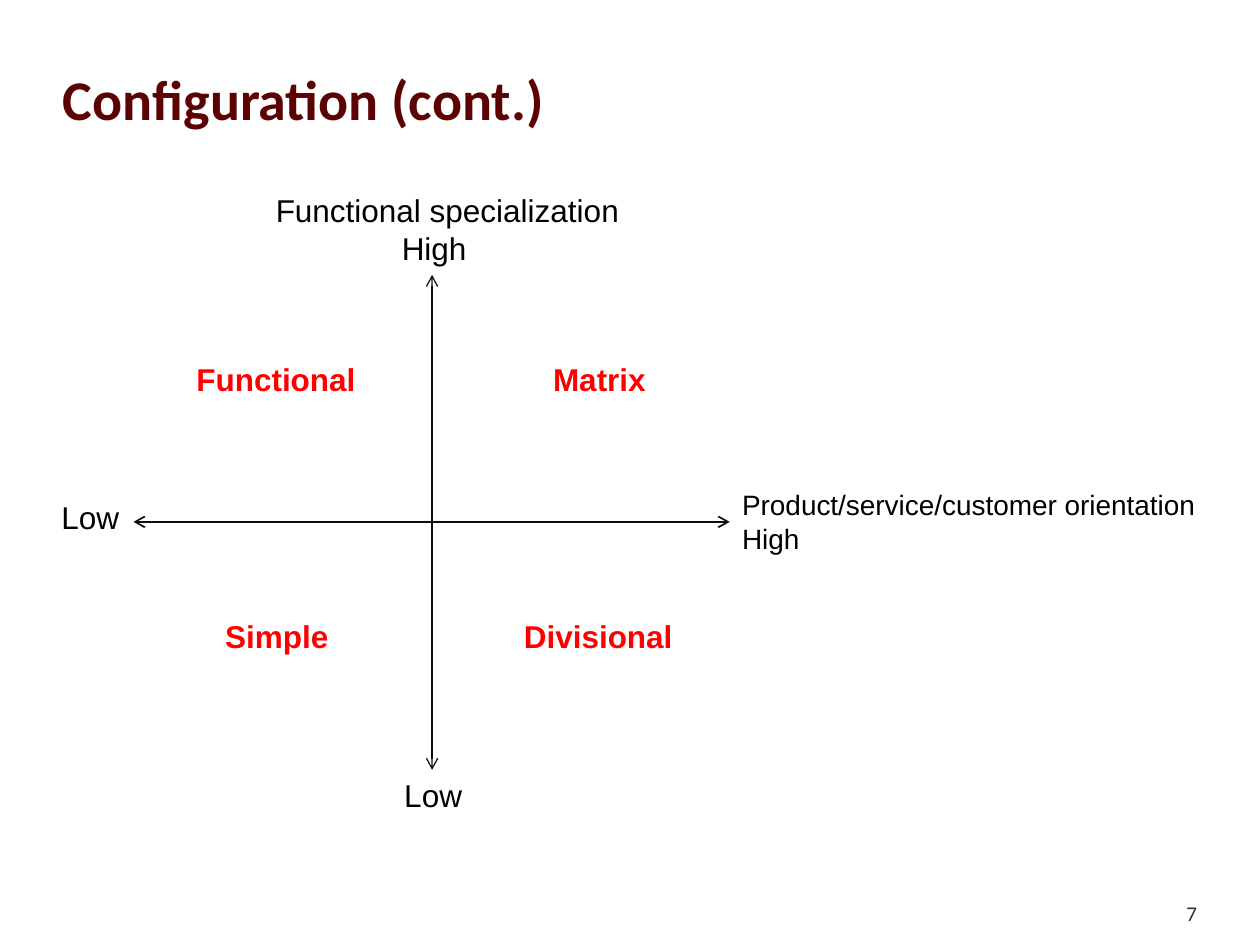
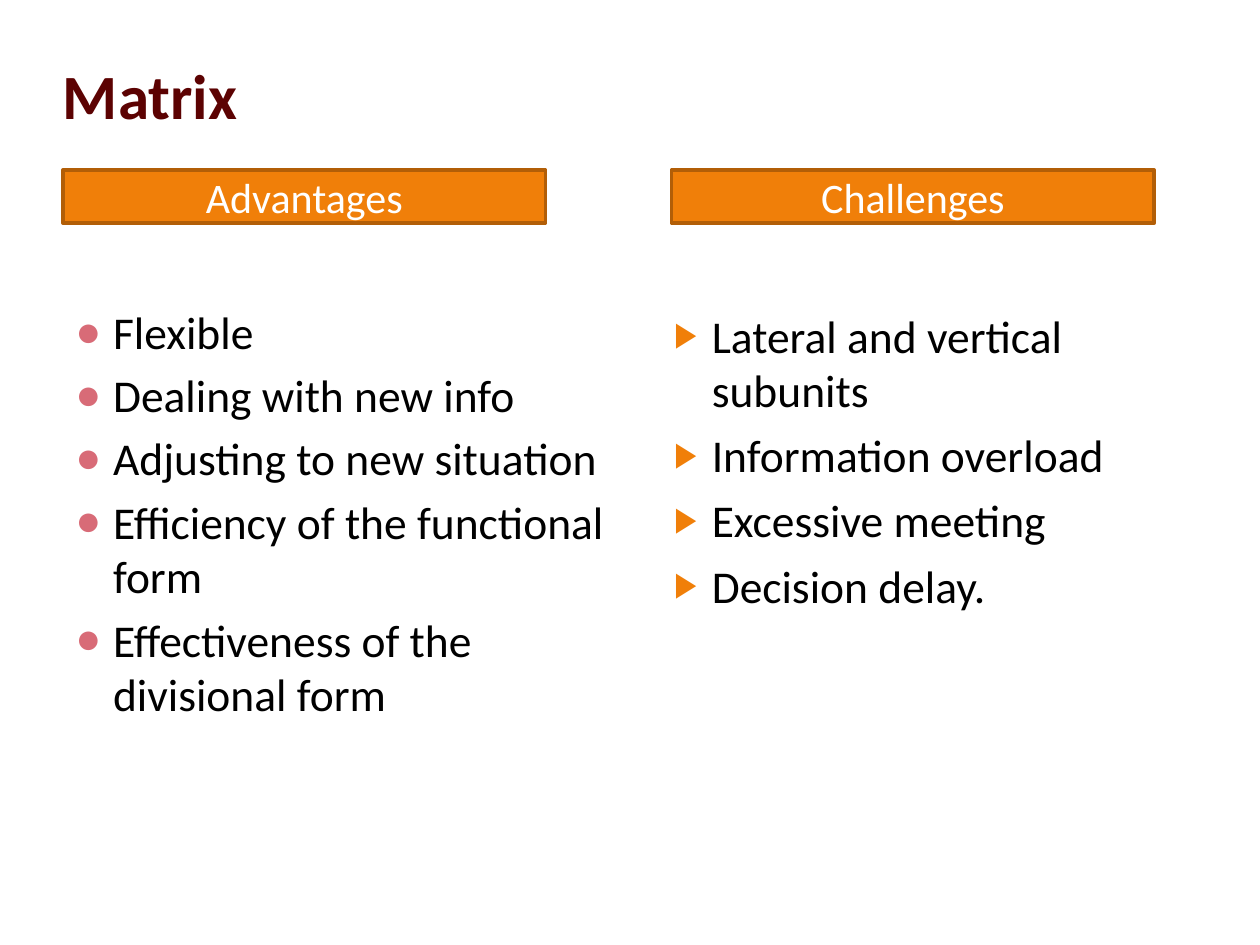
from lxml.etree import SubElement
from pptx import Presentation
from pptx.dml.color import RGBColor
from pptx.enum.shapes import MSO_CONNECTOR, MSO_SHAPE
from pptx.enum.text import MSO_ANCHOR, PP_ALIGN
from pptx.oxml.ns import qn
from pptx.util import Cm, Pt

BLACK = RGBColor(0x00, 0x00, 0x00)
WHITE = RGBColor(0xFF, 0xFF, 0xFF)
MAROON = RGBColor(0x5C, 0x02, 0x02)
GREY = RGBColor(0x30, 0x30, 0x30)
AXIS = RGBColor(0x0D, 0x0D, 0x0D)
RED = RGBColor(0xFF, 0x00, 0x00)
ORANGE = RGBColor(0xF0, 0x7F, 0x09)
BROWN = RGBColor(0xB2, 0x5E, 0x07)
ROSE = RGBColor(0xD8, 0x6B, 0x77)


def write(tf, text, size=18, font="Arial", color=BLACK, bold=False,
          align=PP_ALIGN.LEFT, before=0, indent=0, bullet=None):
    """Write one paragraph, using the frame's first one while it is empty."""
    p = tf.paragraphs[0] if not tf.text else tf.add_paragraph()
    p.alignment = align
    p.space_before = Pt(before)
    r = p.add_run()
    r.text = text
    r.font.size, r.font.name, r.font.bold = Pt(size), font, bold
    r.font.color.rgb = color
    pPr = p._p.get_or_add_pPr()
    if indent:
        pPr.set("marL", str(Cm(indent)))
    if bullet:
        char, bullet_color, percent = bullet
        pPr.set("indent", str(-Cm(indent)))
        SubElement(SubElement(pPr, qn("a:buClr")), qn("a:srgbClr"), val=str(bullet_color))
        SubElement(pPr, qn("a:buSzPct"), val=str(percent * 1000))
        SubElement(pPr, qn("a:buFont"), typeface="Arial")
        SubElement(pPr, qn("a:buChar"), char=char)


class Deck:
    """Holds the shared style and the slide being built."""

    def __init__(self):
        """Open an empty 4:3 presentation."""
        self.prs = Presentation()
        self.prs.slide_width, self.prs.slide_height = Cm(25.4), Cm(19.05)
        self.font = "Calibri"

    def slide(self, title, size):
        """Start a blank slide with its title."""
        self.s = self.prs.slides.add_slide(self.prs.slide_layouts[6])
        tf = self.box(1.27, 0.91, 20.55, 1.88, MSO_ANCHOR.BOTTOM).text_frame
        tf.margin_left = tf.margin_right = 0
        write(tf, title, size=size, font=self.font, color=MAROON, bold=True)

    def box(self, x, y, w, h, anchor=MSO_ANCHOR.TOP):
        """Add an empty wrapping text box."""
        sp = self.s.shapes.add_textbox(Cm(x), Cm(y), Cm(w), Cm(h))
        sp.text_frame.word_wrap = True
        sp.text_frame.vertical_anchor = anchor
        return sp

    def label(self, text, x, y, w, h=1.02, **style):
        """Add a text box with one line of text."""
        sp = self.box(x, y, w, h)
        write(sp.text_frame, text, **style)
        return sp

    def number(self, text):
        """Add the slide number at the lower right."""
        tf = self.box(22.02, 17.65, 2.11, 1.02, MSO_ANCHOR.BOTTOM).text_frame
        tf.margin_left = tf.margin_right = tf.margin_top = tf.margin_bottom = 0
        write(tf, text, size=12, font=self.font, color=GREY, align=PP_ALIGN.RIGHT)

    def axis(self, x1, y1, x2, y2, width):
        """Add a line with an arrowhead at both ends."""
        c = self.s.shapes.add_connector(MSO_CONNECTOR.STRAIGHT, Cm(x1), Cm(y1), Cm(x2), Cm(y2))
        c.line.color.rgb, c.line.width = AXIS, Pt(width)
        ln = c.line._get_or_add_ln()
        for end in ("a:headEnd", "a:tailEnd"):
            SubElement(ln, qn(end), type="arrow")
        SubElement(c._element.spPr, qn("a:effectLst"))
        return c

    def banner(self, text, x):
        """Add the coloured heading of a column."""
        sp = self.s.shapes.add_shape(MSO_SHAPE.RECTANGLE, Cm(x), Cm(3.43), Cm(9.73), Cm(1.07))
        sp.shadow.inherit = False
        sp.fill.solid()
        sp.fill.fore_color.rgb = ORANGE
        sp.line.color.rgb, sp.line.width = BROWN, Pt(2)
        sp.text_frame.vertical_anchor = MSO_ANCHOR.MIDDLE
        write(sp.text_frame, text, size=24, font=self.font, color=WHITE, align=PP_ALIGN.CENTER)

    def bullets(self, items, x, y, before, bullet):
        """Add a bulleted column."""
        tf = self.box(x, y, 11.23, 10).text_frame
        for item in items:
            write(tf, item, size=26, font=self.font, before=before, indent=0.76, bullet=bullet)


def configuration(deck):
    """Build the two-axis map of structures."""
    deck.slide("Configuration (cont.)", 32)
    deck.number("7")
    across = deck.axis(2.69, 10.52, 14.71, 10.52, 1)
    deck.axis(8.71, 5.54, 8.71, 15.52, 0.75)
    deck.label("Low", 0.99, 9.91, 2.69)
    deck.label("Low", 7.9, 15.52, 3)
    top = deck.label("Functional specialization", 5.31, 3.73, 8, 1.8)
    write(top.text_frame, "High", indent=2.54)
    right = deck.label("Product/service/customer orientation", 14.71, 9.71, 10.4, 1.62, size=16)
    write(right.text_frame, "High", size=16)
    across.end_connect(right, 1)
    for text, x, y in (("Functional", 3.71, 7.14), ("Matrix", 10.9, 7.14),
                       ("Simple", 4.29, 12.32), ("Divisional", 10.31, 12.32)):
        deck.label(text, x, y, 4.4, color=RED, bold=True)


def matrix(deck):
    """Build the two columns on the matrix structure."""
    deck.slide("Matrix", 36)
    deck.bullets(("Flexible", "Dealing with new info", "Adjusting to new situation",
                  "Efficiency of the functional form", "Effectiveness of the divisional form"),
                 1.27, 6, 5, ("●", ROSE, 95))
    deck.bullets(("Lateral and vertical subunits", "Information overload",
                  "Excessive meeting", "Decision delay."),
                 13.34, 6.08, 6, ("▶", ORANGE, 76))
    deck.banner("Advantages", 1.27)
    deck.banner("Challenges", 13.54)


def main():
    """Build and save the slides."""
    deck = Deck()
    configuration(deck)
    matrix(deck)
    deck.prs.save("out.pptx")


if __name__ == "__main__":
    main()
